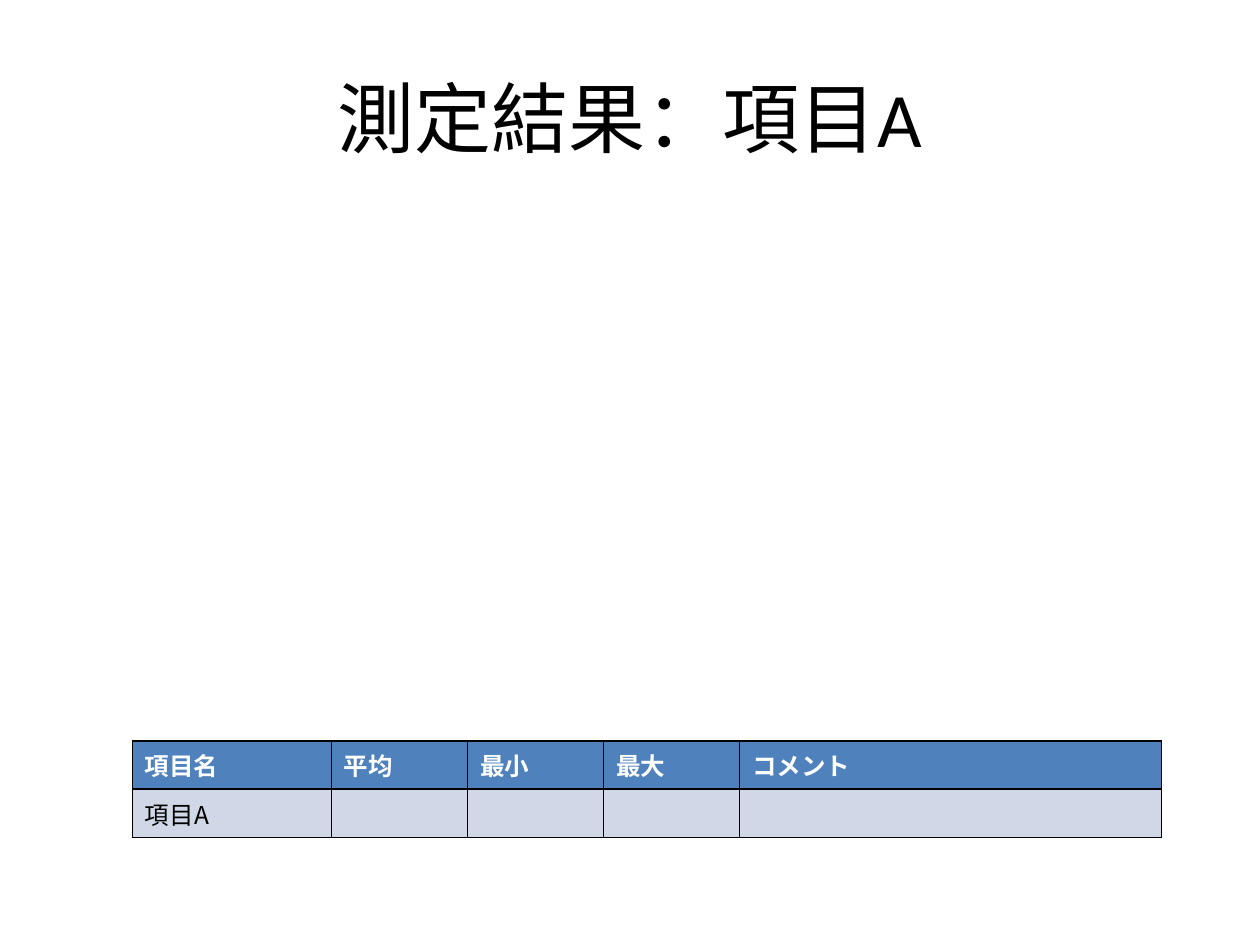
import pptx
import pptx.dml.color
import pptx.enum.text
import pptx.oxml.ns
import pptx.util
from lxml import etree

WIDTH, HEIGHT = 10, 7.5
JAPANESE_FONT = "Noto Sans CJK JP"
COLUMNS = [1.58, 1.08, 1.08, 1.08, 3.35]
ROW_HEIGHT = 0.35
ROWS = [
    ["項目名", "平均", "最小", "最大", "コメント"],
    ["項目A", "", "", "", ""],
]


def inches(value):
    return pptx.util.Inches(value)


def color(value):
    return pptx.dml.color.RGBColor.from_string(value)


def add_child(parent, tag, **attributes):
    return etree.SubElement(parent, pptx.oxml.ns.qn(tag), **attributes)


def write(para, text, size, latin, ink, bold=False):
    span = para.add_run()
    span.text = text
    font = span.font
    font.size, font.bold, font.name = pptx.util.Pt(size), bold, latin
    font.color.rgb = color(ink)
    add_child(span._r.get_or_add_rPr(), "a:ea", typeface=JAPANESE_FONT)


def add_borders(cell, ink, points):
    properties = cell._tc.get_or_add_tcPr()
    for side in ("a:lnL", "a:lnR", "a:lnT", "a:lnB"):
        line = add_child(properties, side, w=str(pptx.util.Pt(points)))
        add_child(add_child(line, "a:solidFill"), "a:srgbClr", val=ink)


def format_cell(cell, text, is_header):
    # Borders come before the fill in the cell properties
    add_borders(cell, "000000", 1)
    cell.fill.solid()
    cell.fill.fore_color.rgb = color("4F81BD" if is_header else "D0D8E8")
    para = cell.text_frame.paragraphs[0]
    if text:
        ink = "FFFFFF" if is_header else "000000"
        write(para, text, 14, JAPANESE_FONT, ink, is_header)
    else:
        # Keeps an empty cell as low as its neighbours
        add_child(para._p, "a:endParaRPr", sz="1400")


def add_title(page, text):
    title = page.shapes.title
    title.left, title.top = inches(0.05 * WIDTH), inches(0.04 * HEIGHT)
    title.width, title.height = inches(0.9 * WIDTH), inches(1.25)
    title.text_frame.vertical_anchor = pptx.enum.text.MSO_ANCHOR.MIDDLE
    para = title.text_frame.paragraphs[0]
    para.alignment = pptx.enum.text.PP_ALIGN.CENTER
    write(para, text, 44, "Calibri", "000000")


def add_results(page, left, top):
    frame = page.shapes.add_table(
        len(ROWS), len(COLUMNS), inches(left), inches(top),
        inches(sum(COLUMNS)), inches(ROW_HEIGHT * len(ROWS)))
    table = frame.table
    for column, width in zip(table.columns, COLUMNS):
        column.width = inches(width)
    for row_number, texts in enumerate(ROWS):
        for column_number, text in enumerate(texts):
            format_cell(table.cell(row_number, column_number), text, row_number == 0)


def main():
    deck = pptx.Presentation()
    deck.slide_width, deck.slide_height = inches(WIDTH), inches(HEIGHT)
    page = deck.slides.add_slide(deck.slide_layouts.get_by_name("Title Only"))
    add_title(page, "測定結果：項目A")
    add_results(page, 1.05, 5.88)
    deck.save("out.pptx")


if __name__ == "__main__":
    main()
